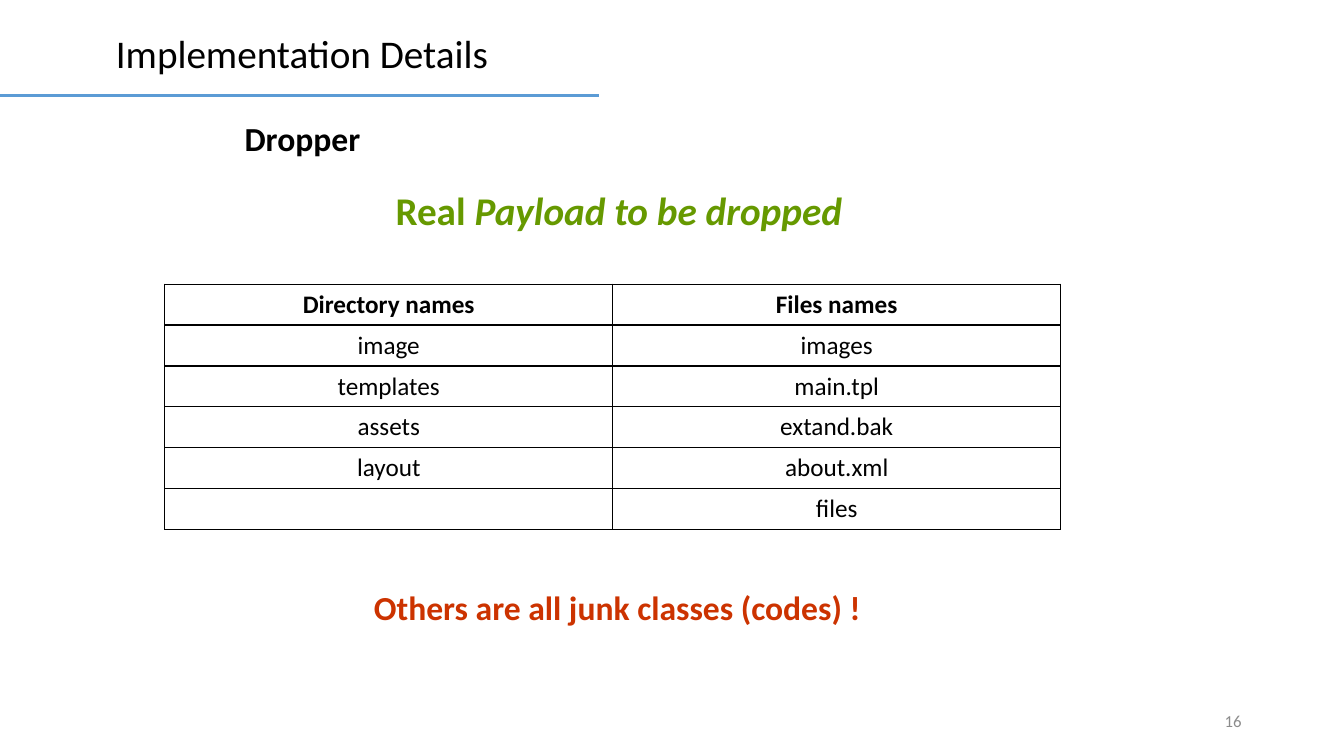
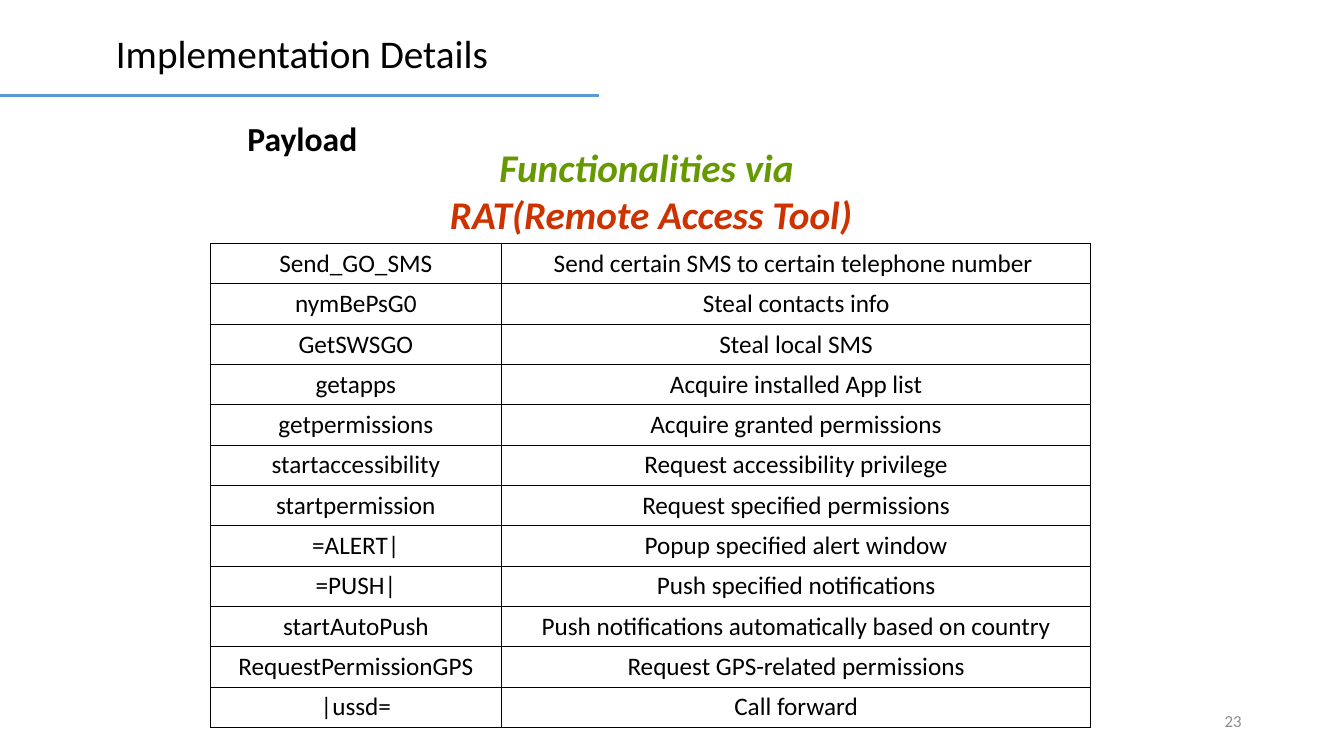
from dataclasses import dataclass

from lxml.etree import SubElement
from pptx import Presentation
from pptx.dml.color import RGBColor as Rgb
from pptx.enum.shapes import MSO_CONNECTOR as Connector
from pptx.enum.text import MSO_ANCHOR as Anchor, MSO_AUTO_SIZE as AutoSize, PP_ALIGN as Align
from pptx.oxml.ns import qn
from pptx.util import Pt


@dataclass(frozen=True)
class Theme:
    font: str = "Calibri"
    ink: str = "000000"
    rule: str = "5B9BD5"
    green: str = "669900"
    red: str = "CC3300"
    gray: str = "8C8C8C"
    title_size: int = 28
    heading_size: int = 24
    table_size: int = 18
    number_size: int = 12


THEME = Theme()
TITLE = "Implementation Details"

PAYLOAD_FILES = [
    ("Directory names", "Files names"),
    ("image", "images"),
    ("templates", "main.tpl"),
    ("assets", "extand.bak"),
    ("layout", "about.xml"),
    ("", "files"),
]
RAT_COMMANDS = [
    ("Send_GO_SMS", "Send certain SMS to certain telephone number "),
    ("nymBePsG0", "Steal contacts info"),
    ("GetSWSGO", "Steal local SMS"),
    ("getapps", "Acquire installed App list"),
    ("getpermissions", "Acquire granted permissions"),
    ("startaccessibility", "Request accessibility privilege"),
    ("startpermission", "Request specified permissions"),
    ("=ALERT|", "Popup specified alert window"),
    ("=PUSH|", "Push specified notifications"),
    ("startAutoPush", "Push notifications automatically based on country"),
    ("RequestPermissionGPS", "Request GPS-related permissions"),
    ("|ussd=", "Call forward"),
]


def style(paragraph, size, color=THEME.ink, bold=False, italic=False, align=Align.CENTER):
    paragraph.alignment = align
    font = paragraph.font
    font.name, font.size = THEME.font, Pt(size)
    font.bold, font.italic = bold, italic
    font.color.rgb = Rgb.from_string(color)


def add_text(slide, box, lines, size, anchor=Anchor.TOP, **look):
    """Add a text box; lines holds (text, colour) pairs, one per paragraph."""
    frame = slide.shapes.add_textbox(*map(Pt, box)).text_frame
    frame.word_wrap = True
    frame.vertical_anchor = anchor
    frame.text = "\n".join(text for text, _ in lines)
    for paragraph, (_, color) in zip(frame.paragraphs, lines):
        style(paragraph, size, color, **look)
    return frame


def add_borders(cell, width):
    properties = cell._tc.get_or_add_tcPr()
    for side in ("lnL", "lnR", "lnT", "lnB"):
        border = SubElement(properties, qn(f"a:{side}"), w=str(Pt(width)))
        fill = SubElement(border, qn("a:solidFill"))
        SubElement(fill, qn("a:srgbClr"), val=THEME.ink)


def add_grid(slide, left, top, widths, row_height, rows, border, padding, header=False):
    """Add a plain ruled table with centred text."""
    table = slide.shapes.add_table(
        len(rows), len(widths), Pt(left), Pt(top),
        Pt(sum(widths)), Pt(row_height * len(rows))).table
    table.first_row = table.horz_banding = False
    for column, width in zip(table.columns, widths):
        column.width = Pt(width)
    for index, texts in enumerate(rows):
        table.rows[index].height = Pt(row_height)
        for cell, text in zip(table.rows[index].cells, texts):
            add_borders(cell, border)
            cell.fill.background()
            cell.margin_top = cell.margin_bottom = Pt(padding)
            cell.vertical_anchor = Anchor.MIDDLE
            cell.text = text
            style(cell.text_frame.paragraphs[0], THEME.table_size,
                  bold=header and index == 0)


def add_content_slide(deck, heading, number):
    """Start a slide with the shared title, rule, heading and page number."""
    slide = deck.slides.add_slide(deck.slide_layouts[5])

    # Title and the rule under it
    title = slide.shapes.title
    title.left, title.top, title.width, title.height = map(Pt, (0, 17.3, 431.3, 41))
    title.text_frame.text = TITLE
    title.text_frame.auto_size = AutoSize.NONE
    title.text_frame.vertical_anchor = Anchor.TOP
    style(title.text_frame.paragraphs[0], THEME.title_size)

    rule = slide.shapes.add_connector(
        Connector.STRAIGHT, Pt(0), Pt(68), Pt(428), Pt(68))
    rule.line.color.rgb = Rgb.from_string(THEME.rule)
    rule.line.width = Pt(2.25)
    SubElement(rule._element.spPr, qn("a:effectLst"))

    # Section heading and page number
    add_text(slide, (62, 80.6, 308, 36), [(heading, THEME.ink)],
             THEME.heading_size, bold=True)
    add_text(slide, (678, 500.5, 216, 29), [(str(number), THEME.gray)],
             THEME.number_size, Anchor.MIDDLE, align=Align.RIGHT)
    return slide


def build_dropper(deck):
    slide = add_content_slide(deck, "Dropper", 16)
    headline = add_text(slide, (257, 129.6, 370, 41), [("Real ", THEME.green)],
                        THEME.title_size, bold=True)
    payload = headline.paragraphs[0].add_run()
    payload.text = "Payload to be dropped"
    payload.font.italic = True
    add_grid(slide, 117.7, 203, (320, 320), 29.2, PAYLOAD_FILES,
             border=1, padding=3.6, header=True)
    add_text(slide, (260, 415.6, 370, 36),
             [("Others are all junk classes (codes) !", THEME.red)],
             THEME.heading_size, bold=True, align=Align.LEFT)


def build_payload(deck):
    slide = add_content_slide(deck, "Payload", 23)
    add_text(slide, (259, 98.6, 412, 75),
             [("Functionalities via ", THEME.green),
              ("RAT(Remote Access Tool)", THEME.red)],
             THEME.title_size, bold=True, italic=True)
    add_grid(slide, 150.2, 174, (208, 421), 28.8, RAT_COMMANDS,
             border=0.75, padding=3.4)


def main():
    deck = Presentation()
    deck.slide_width, deck.slide_height = Pt(960), Pt(540)
    build_dropper(deck)
    build_payload(deck)
    deck.save("out.pptx")


if __name__ == "__main__":
    main()
